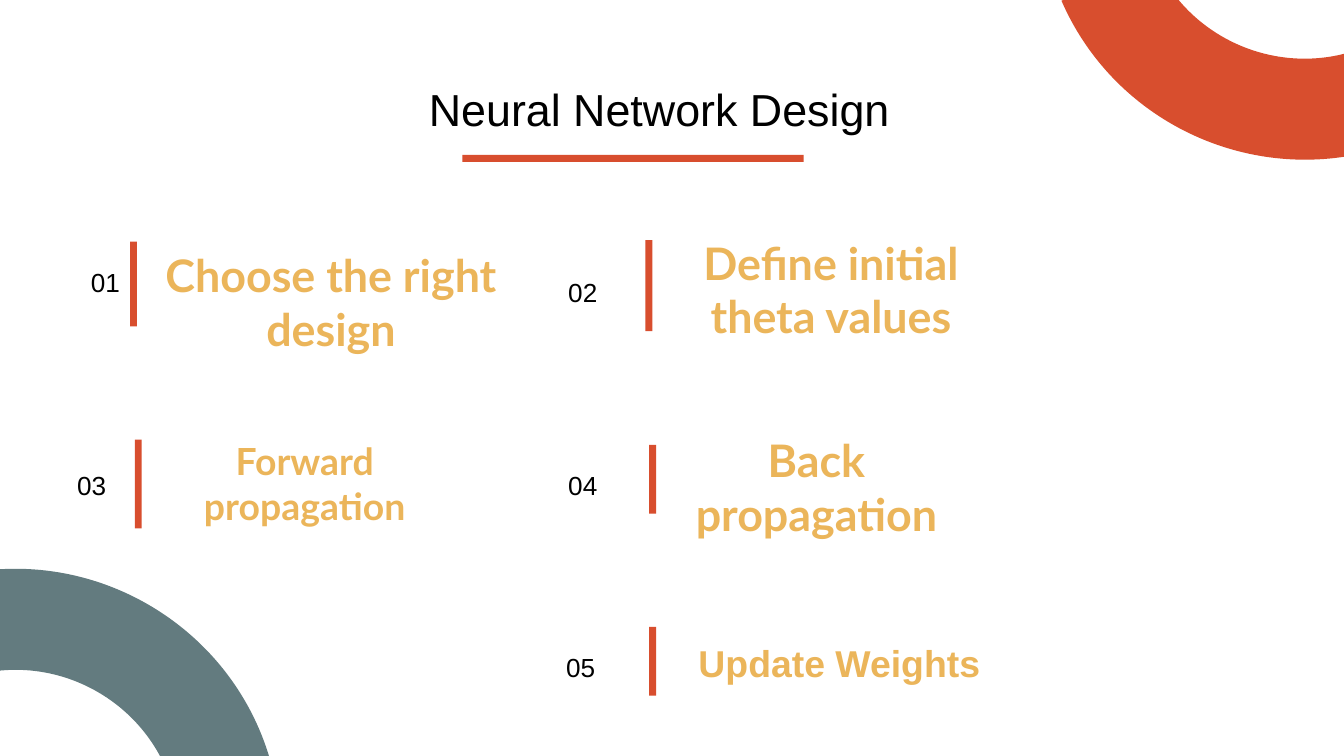
from lxml.etree import SubElement
from pptx import Presentation
from pptx.dml.color import RGBColor
from pptx.enum.shapes import MSO_SHAPE
from pptx.enum.text import MSO_ANCHOR, MSO_AUTO_SIZE, PP_ALIGN
from pptx.oxml.ns import qn
from pptx.util import Cm, Pt

ORANGE, TEAL, GOLD, BLACK = "D84E2E", "637B7F", "EBB55A", "000000"
BAR_WIDTH = 0.13
RING_OUTER, RING_INNER = 5, 3.09
ARC_HANDLE = 0.55

# Number, number box, bar (left, top, height), label, label box, size
STEPS = [
    ("01", (1.22, 4.57, 1.3, 1.3), (2.46, 4.57, 1.6),
     "Choose the right design", (2.75, 4.44, 7.01, 1.6), 24),
    ("02", (10.09, 5.05, 1.45, 1.02), (12.2, 4.54, 1.72),
     "Define initial theta values", (12.2, 4.2, 7.01, 2.13), 24),
    ("03", (0.61, 8.8, 1.65, 0.91), (2.55, 8.31, 1.68),
     "Forward propagation", (2.84, 8.03, 5.84, 1.57), 20),
    ("04", (10.47, 8.55, 1.07, 1.17), (12.27, 8.41, 1.3),
     "Back propagation", (12.27, 7.93, 6.32, 1.6), 24),
]
LAST_NUMBER = ("05", (10.43, 11.99, 1.07, 1.17), (12.27, 11.85, 1.3))


def paint(shape, color):
    """Give a shape a flat fill with no line or shadow."""
    shape.fill.solid()
    shape.fill.fore_color.rgb = RGBColor.from_string(color)
    shape.line.fill.background()
    shape.shadow.inherit = False


def add_bar(page, left, top, width, height):
    """Add a thin orange bar."""
    bar = page.shapes.add_shape(
        MSO_SHAPE.RECTANGLE, Cm(left), Cm(top), Cm(width), Cm(height))
    paint(bar, ORANGE)


def bend(segment, handles):
    """Turn a straight outline segment into a curve with two handles."""
    segment.tag = qn("a:cubicBezTo")
    for index, (x, y) in enumerate(handles):
        point = SubElement(segment, qn("a:pt"), x=str(Cm(x)), y=str(Cm(y)))
        segment.insert(index, point)


def add_quarter_ring(page, left, top, rotation, color):
    """Add a quarter ring whose centre is the lower left box corner."""
    outer, inner = RING_OUTER, RING_INNER
    builder = page.shapes.build_freeform(0, 0)
    corners = [(outer, outer), (inner, outer), (0, outer - inner)]
    builder.add_line_segments([(Cm(x), Cm(y)) for x, y in corners])
    ring = builder.convert_to_shape(Cm(left), Cm(top))
    outer_arc, _, inner_arc = list(ring._element.iter(qn("a:lnTo")))[:3]
    reach = ARC_HANDLE * outer
    bend(outer_arc, [(reach, 0), (outer, outer - reach)])
    reach = ARC_HANDLE * inner
    bend(inner_arc, [(inner, outer - reach), (reach, outer - inner)])
    ring.rotation = rotation
    paint(ring, color)


def add_text(page, area, text, size, color, font="Arial", bold=False,
             align=PP_ALIGN.CENTER, anchor=MSO_ANCHOR.TOP, margin=0.25):
    """Add a wrapping text box with one paragraph and return its frame."""
    box = page.shapes.add_textbox(*map(Cm, area))
    frame = box.text_frame
    frame.word_wrap = True
    frame.vertical_anchor = anchor
    frame.margin_left = frame.margin_right = Cm(0.25)
    frame.margin_top = frame.margin_bottom = Cm(margin)
    para = frame.paragraphs[0]
    para.text = text
    para.alignment = align
    para.font.name = font
    para.font.size = Pt(size)
    para.font.bold = bold
    para.font.color.rgb = RGBColor.from_string(color)
    return frame


def add_number(page, number, area, bar):
    """Add a step number and the bar beside it."""
    left, top, height = bar
    add_text(page, area, number, 14, BLACK,
             align=PP_ALIGN.RIGHT, anchor=MSO_ANCHOR.BOTTOM)
    add_bar(page, left, top, BAR_WIDTH, height)


def main():
    """Build the slide and save it."""
    deck = Presentation()
    deck.slide_width, deck.slide_height = Cm(25.4), Cm(14.29)
    page = deck.slides.add_slide(deck.slide_layouts[6])
    add_quarter_ring(page, 20.85, -1.19, 156.5, ORANGE)
    add_quarter_ring(page, -0.43, 10.19, 345, TEAL)
    add_bar(page, 8.74, 2.93, 6.45, BAR_WIDTH)
    title = add_text(page, (7.8, 1.42, 9.55, 1.27), "Neural Network Design ",
                     24, BLACK, margin=0.13)
    title.word_wrap = False
    title.auto_size = MSO_AUTO_SIZE.SHAPE_TO_FIT_TEXT
    for number, area, bar, label, label_area, size in STEPS:
        add_number(page, number, area, bar)
        frame = add_text(page, label_area, label, size, GOLD, "Lato", True)
        frame.paragraphs[0].space_after = Pt(16)
    add_number(page, *LAST_NUMBER)
    label = add_text(page, (12.4, 11.98, 6.93, 1.12), "Update Weights",
                     20, GOLD, bold=True, margin=0.13)
    label.auto_size = MSO_AUTO_SIZE.SHAPE_TO_FIT_TEXT
    deck.save("out.pptx")


main()
